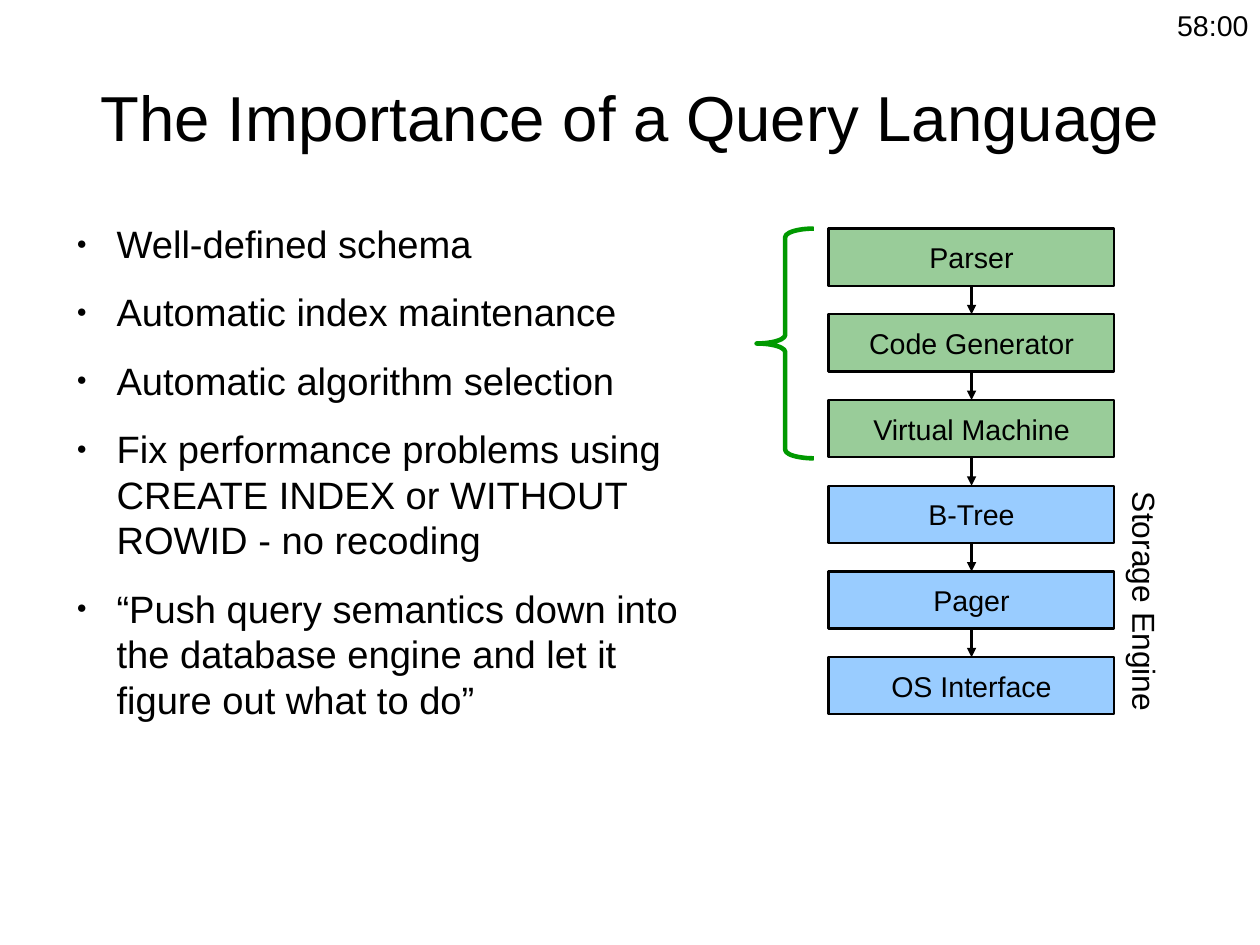
from lxml.etree import SubElement
from pptx import Presentation
from pptx.dml.color import RGBColor
from pptx.enum.shapes import MSO_CONNECTOR, MSO_SHAPE
from pptx.enum.text import MSO_ANCHOR, MSO_AUTO_SIZE, PP_ALIGN
from pptx.oxml.ns import qn
from pptx.util import Inches, Pt

COLORS = {"ink": "000000", "language": "99CC99", "storage": "99CCFF", "brace": "009900"}
POINTS = [
    "Well-defined schema",
    "Automatic index maintenance",
    "Automatic algorithm selection",
    "Fix performance problems using CREATE INDEX or WITHOUT ROWID - no recoding",
    "“Push query semantics down into the database engine and let it figure out what to do”",
]
LAYERS = [
    ("Parser", "language"),
    ("Code Generator", "language"),
    ("Virtual Machine", "language"),
    ("B-Tree", "storage"),
    ("Pager", "storage"),
    ("OS Interface", "storage"),
]
CM_PER_INCH = 2.54
STACK_LEFT, STACK_TOP = 7.25, 2
LAYER_WIDTH, LAYER_HEIGHT, LAYER_STEP = 2.5, 0.5, 0.75


def rgb(name):
    return RGBColor.from_string(COLORS[name])


def place(shape, left, top, width, height):
    shape.left, shape.top = Inches(left), Inches(top)
    shape.width, shape.height = Inches(width), Inches(height)


def set_frame(frame, anchor=MSO_ANCHOR.TOP, margins=(0, 0), wrap=True):
    frame.auto_size = MSO_AUTO_SIZE.NONE
    frame.word_wrap = wrap
    frame.vertical_anchor = anchor
    frame.margin_left = frame.margin_right = Inches(margins[0])
    frame.margin_top = frame.margin_bottom = Inches(margins[1])


def write(para, text, size=18, align=PP_ALIGN.LEFT):
    para.alignment = align
    span = para.add_run()
    span.text = text
    span.font.size = Pt(size)
    span.font.name = "Arial"
    span.font.color.rgb = rgb("ink")


def set_line(shape, color="ink", width=1.45):
    shape.line.color.rgb = rgb(color)
    shape.line.width = Pt(width)


def add_bullet(para):
    props = para._p.get_or_add_pPr()
    props.set("marL", str(Inches(0.47)))
    props.set("indent", str(Inches(-0.35)))
    color = SubElement(props, qn("a:buClr"))
    SubElement(color, qn("a:srgbClr"), val=COLORS["ink"])
    SubElement(props, qn("a:buSzPct"), val="45000")
    SubElement(props, qn("a:buChar"), char="●")


def fill_title(title):
    place(title, 0.55, 0.33, 9.92, 1.38)
    set_frame(title.text_frame, anchor=MSO_ANCHOR.MIDDLE)
    write(title.text_frame.paragraphs[0], "The Importance of a Query Language",
          size=40, align=PP_ALIGN.CENTER)


def fill_body(body):
    place(body, 0.55, 1.93, 5.58, 4.8)
    frame = body.text_frame
    set_frame(frame)
    for index, point in enumerate(POINTS):
        para = frame.add_paragraph() if index else frame.paragraphs[0]
        para.space_before, para.space_after = Pt(0), Pt(14.2)
        write(para, point, size=24)
        add_bullet(para)


def add_layer(page, text, color, top):
    box = page.shapes.add_shape(MSO_SHAPE.RECTANGLE, Inches(STACK_LEFT), Inches(top),
                                Inches(LAYER_WIDTH), Inches(LAYER_HEIGHT))
    box.shadow.inherit = False
    box.fill.solid()
    box.fill.fore_color.rgb = rgb(color)
    set_line(box)
    set_frame(box.text_frame, anchor=MSO_ANCHOR.MIDDLE, margins=(0.11, 0.06))
    write(box.text_frame.paragraphs[0], text, align=PP_ALIGN.CENTER)


def add_arrow(page, x, top, bottom):
    arrow = page.shapes.add_connector(MSO_CONNECTOR.STRAIGHT, Inches(x), Inches(top),
                                      Inches(x), Inches(bottom))
    set_line(arrow)
    SubElement(arrow.line._get_or_add_ln(), qn("a:tailEnd"), type="triangle")
    SubElement(arrow._element.spPr, qn("a:effectLst"))


def add_stack(page):
    for index, (text, color) in enumerate(LAYERS):
        top = STACK_TOP + index * LAYER_STEP
        add_layer(page, text, color, top)
        if index:
            add_arrow(page, STACK_LEFT + LAYER_WIDTH / 2,
                      top - LAYER_STEP + LAYER_HEIGHT, top)


def add_brace(page):
    brace = page.shapes.add_shape(MSO_SHAPE.LEFT_BRACE, Inches(6.62), Inches(STACK_TOP),
                                  Inches(0.5), Inches(2.01))
    brace.adjustments[0] = 0.15
    brace.shadow.inherit = False
    brace.fill.background()
    set_line(brace, color="brace", width=2.89)


def add_label(page, text, left, top, width, height, size=18, rotation=0):
    label = page.shapes.add_textbox(Inches(left), Inches(top), Inches(width), Inches(height))
    label.rotation = rotation
    set_frame(label.text_frame, margins=(0.1, 0.05), wrap=False)
    write(label.text_frame.paragraphs[0], text, size=size)


def main():
    """Build the query language slide and save it."""
    deck = Presentation()
    deck.slide_width, deck.slide_height = Inches(28 / CM_PER_INCH), Inches(21 / CM_PER_INCH)
    page = deck.slides.add_slide(deck.slide_layouts[1])
    fill_title(page.shapes.title)
    fill_body(page.placeholders[1])
    add_stack(page)
    add_brace(page)
    add_label(page, "Storage Engine", 8.97, 5.06, 2.12, 0.41, size=20, rotation=90)
    add_label(page, "58:00", 10.2, 0.02, 0.82, 0.38)
    deck.save("out.pptx")


if __name__ == "__main__":
    main()
